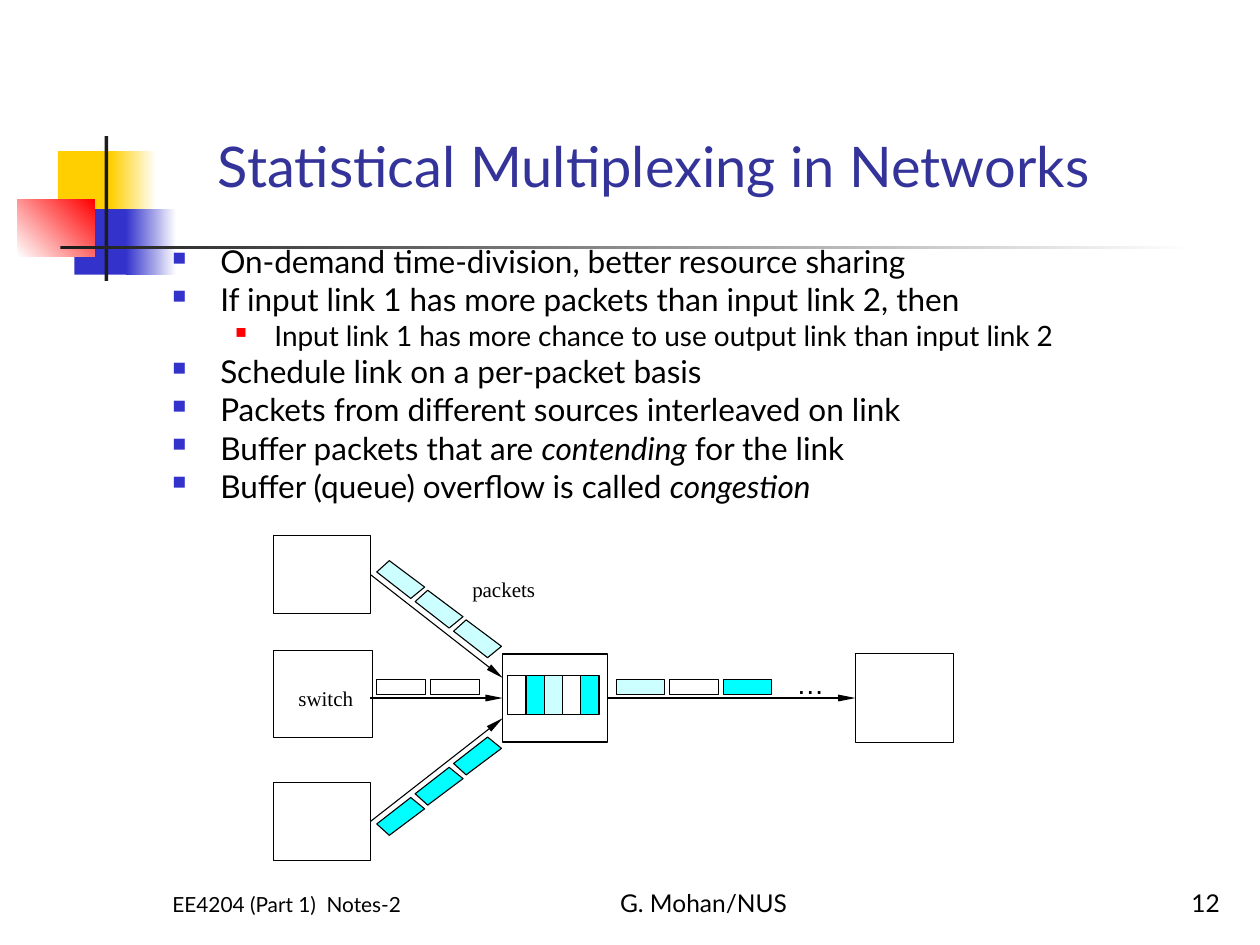
from lxml import etree
from pptx import Presentation
from pptx.dml.color import RGBColor
from pptx.enum import shapes as kinds, text as te
from pptx.oxml import ns
from pptx.util import Inches, Pt

BLACK, CYAN, PALE, BLUE = "000000", "00FFFF", "CCFFFF", "3333CC"
RECT = kinds.MSO_SHAPE.RECTANGLE
LEFT, MID, RIGHT = te.PP_ALIGN.LEFT, te.PP_ALIGN.CENTER, te.PP_ALIGN.RIGHT
TOP, BOTTOM = te.MSO_ANCHOR.TOP, te.MSO_ANCHOR.BOTTOM

BULLETS = [
    (0, "On-demand time-division, better resource sharing"),
    (0, "If input link 1 has more packets than input link 2, then"),
    (1, "Input link 1 has more chance to use output link than input link 2"),
    (0, "Schedule link on a per-packet basis"),
    (0, "Packets from different sources interleaved on link"),
    (0, "Buffer packets that are *contending* for the link"),
    (0, "Buffer (queue) overflow is called *congestion*"),
]
# size, space before, left indent, hanging indent, bullet colour, bullet percent
LEVELS = [(18, 4.5, 0.38, 0.38, BLUE, 60), (16, 4, 0.81, 0.31, "FF0000", 55)]


def rgb(code):
    return RGBColor.from_string(code)


def inches(*values):
    return [Inches(v) for v in values]


def style(shape, fill=None, line=None, width=0.62):
    shape.shadow.inherit = False
    if fill:
        shape.fill.solid()
        shape.fill.fore_color.rgb = rgb(fill)
    else:
        shape.fill.background()
    if line:
        shape.line.color.rgb = rgb(line)
        shape.line.width = Pt(width)
    else:
        shape.line.fill.background()


def rect(slide, x, y, w, h, fill=None, line=None, width=0.62):
    shape = slide.shapes.add_shape(RECT, *inches(x, y, w, h))
    style(shape, fill, line, width)
    return shape


def fade(slide, x, y, w, h, start, end, angle=0):
    """Rectangle with a two-colour gradient; angle is counter-clockwise."""
    shape = rect(slide, x, y, w, h)
    shape.fill.gradient()
    shape.fill.gradient_angle = angle
    for stop, code, place in zip(shape.fill.gradient_stops, (start, end), (0, 1)):
        stop.color.rgb = rgb(code)
        stop.position = place


def set_font(par, size, name="Lato", color=BLACK):
    par.font.size = Pt(size)
    par.font.name = name
    par.font.color.rgb = rgb(color)


def label(slide, box, words, size, name="Lato", align=LEFT, anchor=TOP):
    frame = slide.shapes.add_textbox(*inches(*box)).text_frame
    frame.word_wrap = True
    frame.vertical_anchor = anchor
    par = frame.paragraphs[0]
    par.text = words
    par.alignment = align
    set_font(par, size, name)
    return frame


def emblem(slide, x, y):
    """Coloured squares with a crossing bar and rule."""
    rect(slide, x + 0.32, y + 0.12, 0.48, 0.52, "FFCF01")
    fade(slide, x + 0.74, y + 0.12, 0.36, 0.52, "FFCF01", "FFFFFF")
    rect(slide, x + 0.45, y + 0.58, 0.46, 0.52, BLUE)
    fade(slide, x + 0.86, y + 0.58, 0.4, 0.52, BLUE, "FFFFFF")
    fade(slide, x, y + 0.5, 0.61, 0.46, "FFFFFF", "FF0000", 45)
    rect(slide, x + 0.69, y, 0.03, 1.15, "1C1C1C")
    fade(slide, x + 0.34, y + 0.87, 9, 0.03, "1C1C1C", "FFFFFF")


def heading(slide, x, y, w, h):
    title = slide.shapes.title
    title.left, title.top, title.width, title.height = inches(x, y, w, h)
    frame = title.text_frame
    frame.text = "Statistical Multiplexing in Networks"
    frame.vertical_anchor = BOTTOM
    frame.paragraphs[0].alignment = LEFT
    set_font(frame.paragraphs[0], 32, color="333399")


def add_bullet(par, left, hang, color, percent):
    props = par._p.get_or_add_pPr()
    props.set("marL", str(Inches(left)))
    props.set("indent", str(-Inches(hang)))
    tint = etree.SubElement(props, ns.qn("a:buClr"))
    etree.SubElement(tint, ns.qn("a:srgbClr"), val=color)
    etree.SubElement(props, ns.qn("a:buSzPct"), val=str(percent * 1000))
    etree.SubElement(props, ns.qn("a:buChar"), char="■")


def body(slide, x, y, w, h):
    frame = slide.shapes.add_textbox(*inches(x, y, w, h)).text_frame
    frame.word_wrap = True
    for i, (level, words) in enumerate(BULLETS):
        par = frame.add_paragraph() if i else frame.paragraphs[0]
        size, before, *mark = LEVELS[level]
        par.level = level
        add_bullet(par, *mark)
        set_font(par, size)
        par.line_spacing = 0.8
        if i:
            par.space_before = Pt(before)
        for j, part in enumerate(filter(None, words.split("*"))):
            run = par.add_run()
            run.text = part
            if j == 1:
                run.font.italic = True


def arrow(slide, start, end, source=None, target=None):
    link = slide.shapes.add_connector(
        kinds.MSO_CONNECTOR.STRAIGHT, *inches(*start, *end))
    if source is not None:
        link.begin_connect(source, 3)
    if target is not None:
        link.end_connect(target, 1)
    link.line.color.rgb = rgb(BLACK)
    link.line.width = Pt(0.62)
    etree.SubElement(link.line._get_or_add_ln(), ns.qn("a:tailEnd"),
                     type="triangle", w="sm", len="lg")
    etree.SubElement(link._element.spPr, ns.qn("a:effectLst"))


def slant(slide, x, y, fill, rising):
    """Packet lying along a sloping link."""
    points = [(0.1, 0), (0.38, 0.21), (0.27, 0.3), (0, 0.09)]
    if rising:
        points = [(dx, 0.3 - dy) for dx, dy in points]
    points = [inches(x + dx, y + dy) for dx, dy in points]
    builder = slide.shapes.build_freeform(*points[0])
    builder.add_line_segments(points[1:], close=True)
    style(builder.convert_to_shape(), fill, BLACK)


def row(slide, x, y, w, h, pitch, fills):
    for i, fill in enumerate(fills):
        rect(slide, x + i * pitch, y, w, h, fill, BLACK)


def network(slide, x, y):
    """Three sources feeding one queue and its output link."""
    first = rect(slide, x, y, 0.77, 0.62, line=BLACK)
    rect(slide, x, y + 0.91, 0.79, 0.69, line=BLACK)
    third = rect(slide, x, y + 1.96, 0.77, 0.62, line=BLACK)
    queue = rect(slide, x + 1.82, y + 0.94, 0.83, 0.7, line=BLACK, width=0.75)
    sink = rect(slide, x + 4.62, y + 0.94, 0.78, 0.7, line=BLACK)

    arrow(slide, (x + 0.77, y + 0.31), (x + 1.82, y + 1.13), first)
    arrow(slide, (x + 0.77, y + 1.29), (x + 1.82, y + 1.29), target=queue)
    arrow(slide, (x + 0.77, y + 2.27), (x + 1.82, y + 1.45), third)
    arrow(slide, (x + 2.65, y + 1.29), (x + 4.62, y + 1.29), queue, sink)

    for i in range(3):
        left = x + 0.82 + i * 0.305
        slant(slide, left, y + 0.2 + i * 0.235, PALE, False)
        slant(slide, left, y + 2.08 - i * 0.24, CYAN, True)
    row(slide, x + 0.82, y + 1.14, 0.385, 0.12, 0.43, [None, None])
    row(slide, x + 2.72, y + 1.14, 0.385, 0.12, 0.425, [PALE, None, CYAN])
    row(slide, x + 1.86, y + 1.11, 0.145, 0.31, 0.145,
        [None, CYAN, PALE, None, CYAN])

    serif = "Times New Roman"
    label(slide, (x + 0.1, y + 1.14, 0.66, 0.3), "switch", 12, serif)
    label(slide, (x + 1.48, y + 0.28, 1.1, 0.3), "packets", 12, serif)
    dots = label(slide, (x + 4.15, y + 1.04, 0.22, 0.27), "…", 16, "Arial", MID)
    dots.margin_left = dots.margin_right = 0
    dots.margin_top = dots.margin_bottom = 0
    dots.word_wrap = False


def footer(slide, y, h):
    note = label(slide, (1.27, y, 2.08, h), "EE4204 (Part 1)  Notes-2", 11.9,
                 anchor=BOTTOM)
    note.paragraphs[0].line_spacing = 0.9
    label(slide, (4, y, 3.17, h), "G. Mohan/NUS", 14, align=MID, anchor=BOTTOM)
    label(slide, (7.7, y, 2.08, h), "12", 14, align=RIGHT, anchor=BOTTOM)


def main():
    deck = Presentation()
    deck.slide_width, deck.slide_height = inches(10, 7.5)
    slide = deck.slides.add_slide(deck.slide_layouts[5])
    emblem(slide, 0.14, 1.08)
    heading(slide, 1.63, 0.42, 7.87, 1.21)
    body(slide, 1.27, 1.93, 7.67, 2.25)
    network(slide, 2.17, 4.25)
    footer(slide, 6.83, 0.5)
    deck.save("out.pptx")


if __name__ == "__main__":
    main()
